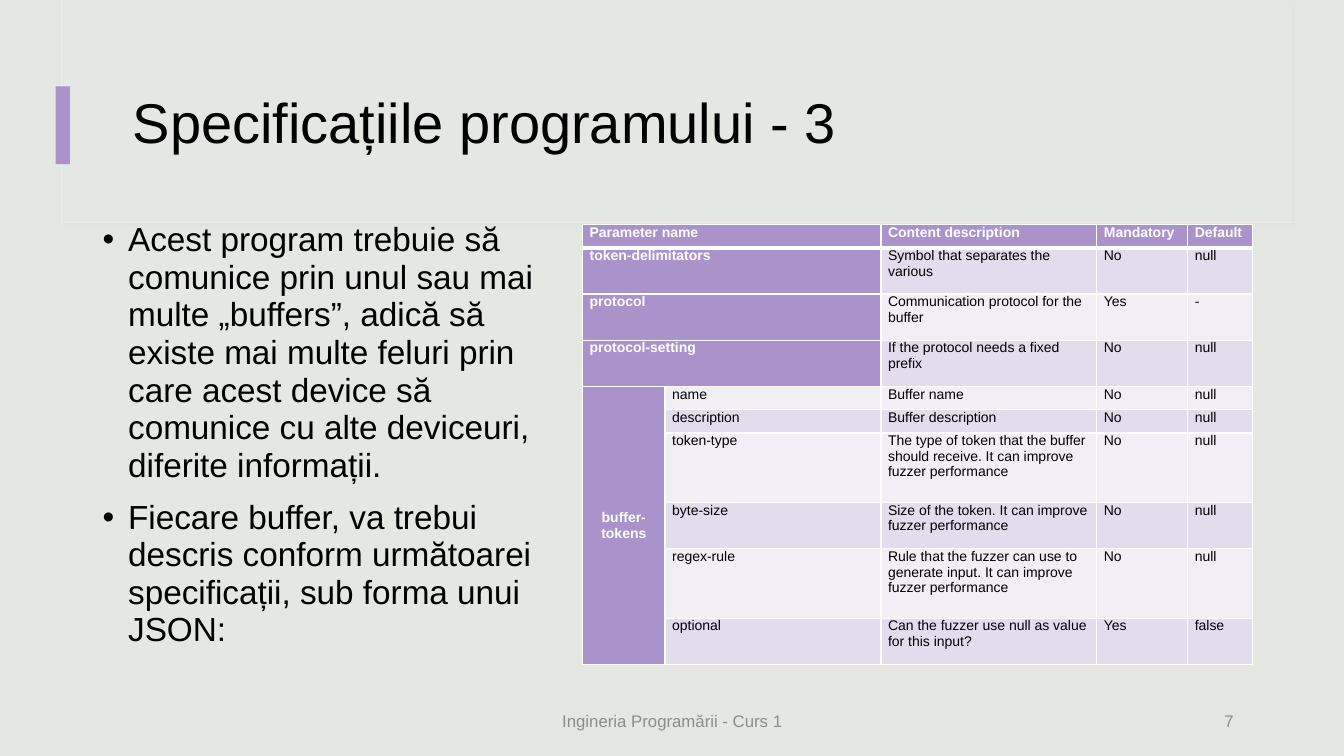
from dataclasses import dataclass
from lxml import etree
from pptx import Presentation
from pptx.dml.color import RGBColor
from pptx.enum.shapes import MSO_SHAPE as Shp
from pptx.enum.text import MSO_ANCHOR as Anc, PP_ALIGN as Al
from pptx.oxml import parse_xml
from pptx.oxml.ns import nsdecls, qn
from pptx.util import Cm, Pt

FONT = "Arial"
PAPER, PURPLE, WHITE, BLACK, GREY = "E5E8E2", "AA92CB", "FFFFFF", "000000", "8C8C8C"
BANDS = ("F1EEF6", "E2DCEC")


@dataclass
class Panel:
    x: float
    y: float
    w: float
    h: float
    fill: str
    line: str = ""
    shadow: str = ""


@dataclass
class Label:
    x: float
    y: float
    w: float
    h: float
    paras: tuple[str, ...]
    size: float
    color: str = BLACK
    align: Al = Al.LEFT
    anchor: Anc = Anc.MIDDLE
    spacing: float = 1.0
    bullet: bool = False


@dataclass
class Row:
    lines: int
    texts: tuple[str, str, str, str]
    wide: bool = False


PANELS = [
    Panel(1.55, 0, 31.01, 5.61, PAPER, "F0EBE5", "D9D9D9"),
    Panel(1.57, 0, 30.99, 5.59, PAPER),
    Panel(1.4, 2.18, 0.36, 1.96, PURPLE),
]
LABELS = [
    Label(3.1, 1.52, 28.24, 3.28, ("Specificațiile programului - 3",), 40, spacing=0.9),
    Label(2.34, 5.46, 12.34, 11.56, (
        "Acest program trebuie să comunice prin unul sau mai multe „buffers”, adică să existe "
        "mai multe feluri prin care acest device să comunice cu alte deviceuri, diferite informații.",
        "Fiecare buffer, va trebui descris conform următoarei specificații, sub forma unui JSON:",
    ), 23.8, anchor=Anc.TOP, spacing=0.94, bullet=True),
    Label(11.23, 17.65, 11.43, 1.02, ("Ingineria Programării - Curs 1",), 12, GREY, Al.CENTER),
    Label(23.72, 17.65, 7.62, 1.02, ("7",), 12, GREY, Al.RIGHT),
]
COLS = (2.08, 5.44, 5.44, 2.29, 1.63)
GROUP = "buffer-tokens"
ROWS = [
    Row(1, ("Parameter name", "Content description", "Mandatory", "Default"), True),
    Row(2, ("token-delimitators", "Symbol that separates the various", "No", "null"), True),
    Row(2, ("protocol", "Communication protocol for the buffer", "Yes", "-"), True),
    Row(2, ("protocol-setting", "If the protocol needs a fixed prefix", "No", "null"), True),
    Row(1, ("name", "Buffer name", "No", "null")),
    Row(1, ("description", "Buffer description", "No", "null")),
    Row(3, ("token-type", "The type of token that the buffer should receive. "
            "It can improve fuzzer performance", "No", "null")),
    Row(2, ("byte-size", "Size of the token. It can improve fuzzer performance", "No", "null")),
    Row(3, ("regex-rule", "Rule that the fuzzer can use to generate input. "
            "It can improve fuzzer performance", "No", "null")),
    Row(2, ("optional", "Can the fuzzer use null as value for this input?", "Yes", "false")),
]


def rgb(color: str) -> RGBColor:
    return RGBColor.from_string(color)


def add_run(p, text: str, size: float, color: str, bold: bool = False) -> None:
    r = p.add_run()
    r.text = text
    r.font.name, r.font.size, r.font.bold = FONT, Pt(size), bold
    r.font.color.rgb = rgb(color)


def add_panel(s, d: Panel) -> None:
    sp = s.shapes.add_shape(Shp.RECTANGLE, Cm(d.x), Cm(d.y), Cm(d.w), Cm(d.h))
    sp.shadow.inherit = False
    sp.fill.solid()
    sp.fill.fore_color.rgb = rgb(d.fill)
    if d.line:
        sp.line.color.rgb = rgb(d.line)
        sp.line.width = Pt(0.75)
    else:
        sp.line.fill.background()
    if d.shadow:
        effects = sp._element.spPr.find(qn("a:effectLst"))
        effects.append(parse_xml(
            f'<a:outerShdw {nsdecls("a")} blurRad="{Pt(4)}" dist="{Pt(3)}" dir="2700000">'
            f'<a:srgbClr val="{d.shadow}"><a:alpha val="30000"/></a:srgbClr></a:outerShdw>'))


def add_label(s, d: Label) -> None:
    tf = s.shapes.add_textbox(Cm(d.x), Cm(d.y), Cm(d.w), Cm(d.h)).text_frame
    tf.word_wrap = True
    tf.vertical_anchor = d.anchor
    for i, text in enumerate(d.paras):
        p = tf.add_paragraph() if i else tf.paragraphs[0]
        p.alignment, p.line_spacing = d.align, d.spacing
        if d.bullet:
            p.space_before = Pt(10)
            pPr = p._p.get_or_add_pPr()
            pPr.set("marL", str(Cm(0.64)))
            pPr.set("indent", str(-Cm(0.64)))
            etree.SubElement(pPr, qn("a:buFont")).set("typeface", FONT)
            etree.SubElement(pPr, qn("a:buChar")).set("char", "•")
        add_run(p, text, d.size, d.color)


def style_cell(cell, fill: str, header: bool) -> None:
    cell.margin_left = cell.margin_right = Cm(0.18)
    cell.margin_top = cell.margin_bottom = 0
    tcPr = cell._tc.get_or_add_tcPr()
    for side in "LRTB":
        width = Pt(3 if header and side == "B" else 1)
        tcPr.append(parse_xml(
            f'<a:ln{side} {nsdecls("a")} w="{width}"><a:solidFill>'
            f'<a:srgbClr val="{WHITE}"/></a:solidFill></a:ln{side}>'))
    cell.fill.solid()
    cell.fill.fore_color.rgb = rgb(fill)


def add_parameters(s) -> None:
    line = Cm(11.09) // sum(row.lines for row in ROWS)
    tbl = s.shapes.add_table(len(ROWS), len(COLS), Cm(14.68), Cm(5.66),
                             Cm(sum(COLS)), Cm(11.09)).table
    for col, width in zip(tbl.columns, COLS):
        col.width = Cm(width)
    for i, row in enumerate(ROWS):
        tbl.rows[i].height = line * row.lines
        for j in range(len(COLS)):
            strong = i == 0 or j == 0 or (row.wide and j == 1)
            style_cell(tbl.cell(i, j), PURPLE if strong else BANDS[i % 2], i == 0)
        for j, text in enumerate(row.texts):
            strong = i == 0 or (row.wide and j == 0)
            cell = tbl.cell(i, 0 if row.wide and j == 0 else j + 1)
            add_run(cell.text_frame.paragraphs[0], text, 10, WHITE if strong else BLACK, strong)
        if row.wide:
            tbl.cell(i, 0).merge(tbl.cell(i, 1))
    first = sum(row.wide for row in ROWS)
    group = tbl.cell(first, 0)
    group.merge(tbl.cell(len(ROWS) - 1, 0))
    group.vertical_anchor = Anc.MIDDLE
    p = group.text_frame.paragraphs[0]
    p.alignment = Al.CENTER
    add_run(p, GROUP, 10, WHITE, True)


def main() -> None:
    prs = Presentation()
    prs.slide_width, prs.slide_height = Cm(33.87), Cm(19.05)
    s = prs.slides.add_slide(prs.slide_layouts[6])
    s.background.fill.solid()
    s.background.fill.fore_color.rgb = rgb(PAPER)
    for panel in PANELS:
        add_panel(s, panel)
    for label in LABELS:
        add_label(s, label)
    add_parameters(s)
    prs.save("out.pptx")


if __name__ == "__main__":
    main()
